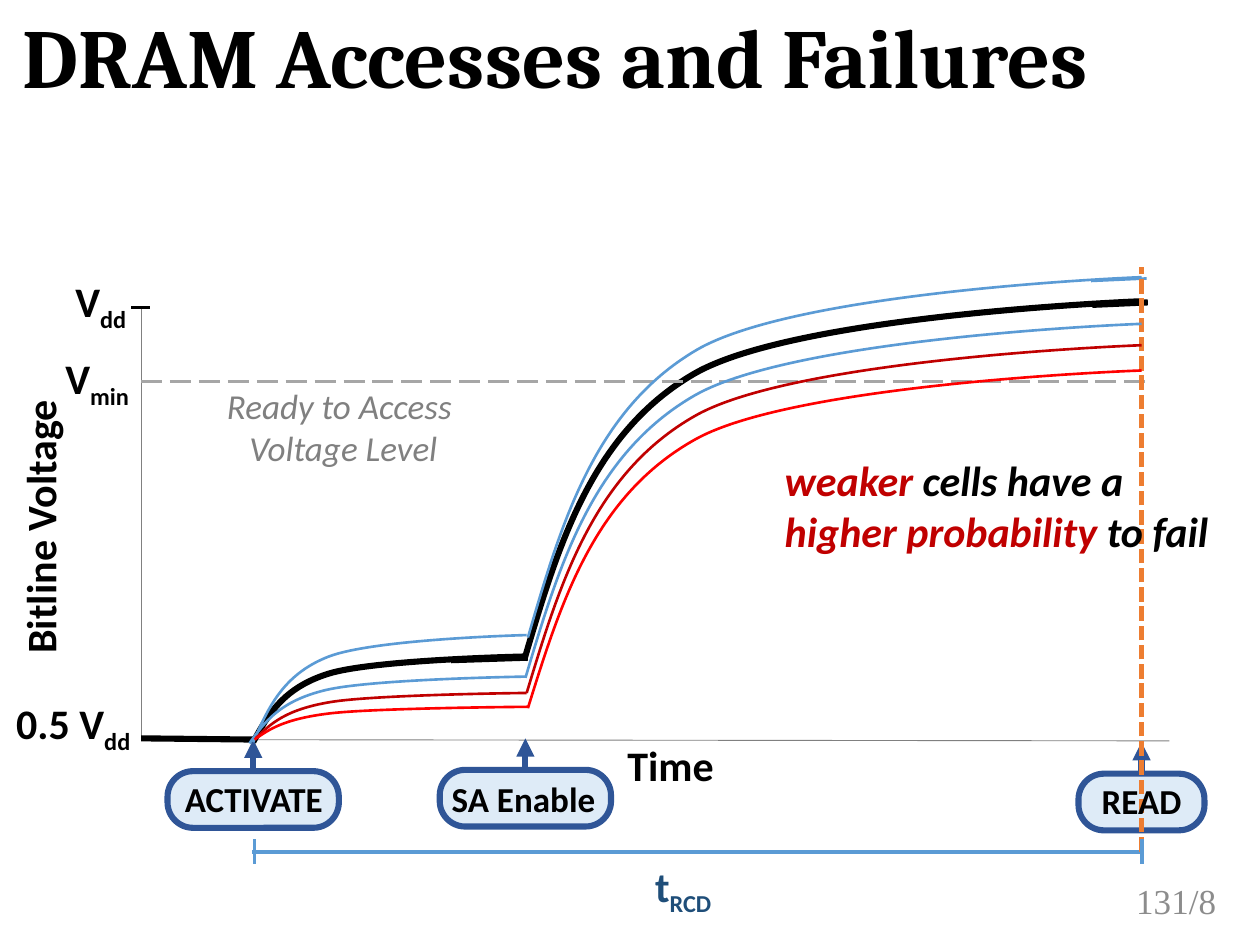
from dataclasses import dataclass
from typing import Optional

from lxml.etree import SubElement
from pptx import Presentation
from pptx.dml.color import RGBColor
from pptx.enum.dml import MSO_LINE
from pptx.enum.shapes import MSO_CONNECTOR, MSO_SHAPE
from pptx.enum.text import MSO_ANCHOR, MSO_AUTO_SIZE, PP_ALIGN
from pptx.oxml.ns import qn
from pptx.util import Inches, Pt

BLACK = RGBColor(0x00, 0x00, 0x00)
GRAY = RGBColor(0x80, 0x80, 0x80)
LIGHT_GRAY = RGBColor(0xA6, 0xA6, 0xA6)
PAGE_GRAY = RGBColor(0x8C, 0x8C, 0x8C)
BLUE = RGBColor(0x5B, 0x9B, 0xD5)
DARK_BLUE = RGBColor(0x2F, 0x55, 0x97)
NAVY = RGBColor(0x1F, 0x4E, 0x79)
PALE_BLUE = RGBColor(0xDE, 0xEB, 0xF7)
ORANGE = RGBColor(0xED, 0x7D, 0x31)
DARK_RED = RGBColor(0xC0, 0x00, 0x00)
RED = RGBColor(0xFF, 0x00, 0x00)

Point = tuple[float, float]
Box = tuple[float, float, float, float]

CHARGE_PERCENTS = (
    ((5.4, 31.5), (10.8, 63), (27.4, 79.7)),
    ((44, 96.4), (100, 100), (100, 100)),
)
AXIS_LEFT, AXIS_BOTTOM, READ_TIME = 1.12, 5.87, 9.06


@dataclass(frozen=True)
class Run:
    text: str
    color: Optional[RGBColor] = None
    subscript: bool = False


@dataclass(frozen=True)
class Curve:
    color: RGBColor
    width: float
    rise: tuple[Point, Point]
    swing: tuple[Point, Point]


@dataclass(frozen=True)
class Command:
    label: str
    pill: Box
    label_box: Box


CURVES = (
    Curve(BLACK, 3.5, ((2.01, 5.89), (4.18, 5.21)), ((4.16, 5.24), (9.07, 2.39))),
    Curve(BLUE, 1.5, ((2.01, 5.89), (4.18, 5.04)), ((4.19, 5.06), (9.06, 2.2))),
    Curve(BLUE, 1.5, ((1.98, 5.9), (4.18, 5.37)), ((4.17, 5.38), (9.06, 2.57))),
    Curve(DARK_RED, 1.5, ((2.03, 5.86), (4.18, 5.5)), ((4.18, 5.5), (9.06, 2.74))),
    Curve(RED, 1.5, ((2.02, 5.87), (4.2, 5.61)), ((4.19, 5.62), (9.06, 2.94))),
)
COMMANDS = (
    Command("ACTIVATE", (1.33, 6.12, 1.36, 0.45), (1.36, 6.12, 1.31, 0.44)),
    Command("SA Enable", (3.49, 6.11, 1.36, 0.45), (3.48, 6.12, 1.35, 0.44)),
    Command("READ", (8.56, 6.14, 1, 0.45), (8.64, 6.14, 0.84, 0.44)),
)
AXIS_LABELS = (
    ((0.5, 2.14, 0.63, 0.5), "V", "dd", BLACK),
    ((0.42, 2.75, 0.75, 0.5), "V", "min", BLACK),
    ((0.03, 5.49, 1.13, 0.5), "0.5 V", "dd", BLACK),
    ((5.1, 6.78, 0.71, 0.5), "t", "RCD", NAVY),
)


def write(text_frame, lines: list[list[Run]], *, size: float = 24, font: str = "Calibri",
          color: RGBColor = BLACK, bold: bool = True, italic: bool = False,
          align=PP_ALIGN.LEFT, anchor=MSO_ANCHOR.TOP, wrap: bool = False,
          line_spacing: Optional[float] = None, grow: bool = True) -> None:
    text_frame.word_wrap = wrap
    text_frame.auto_size = MSO_AUTO_SIZE.SHAPE_TO_FIT_TEXT if grow else MSO_AUTO_SIZE.NONE
    text_frame.vertical_anchor = anchor
    for index, line in enumerate(lines):
        paragraph = text_frame.add_paragraph() if index else text_frame.paragraphs[0]
        paragraph.alignment = align
        paragraph.line_spacing = line_spacing
        for part in line:
            run = paragraph.add_run()
            run.text = part.text
            run.font.name, run.font.size = font, Pt(size)
            run.font.bold, run.font.italic = bold, italic
            run.font.color.rgb = part.color or color
            if part.subscript:
                run._r.get_or_add_rPr().set("baseline", "-25000")


def add_text(slide, box: Box, lines: list[list[Run]], rotation: float = 0, **style) -> None:
    text_box = slide.shapes.add_textbox(*map(Inches, box))
    text_box.rotation = rotation
    write(text_box.text_frame, lines, **style)


def add_line(slide, start: Point, end: Point, color: RGBColor, width: float,
             dash=None, arrow: bool = False) -> None:
    connector = slide.shapes.add_connector(
        MSO_CONNECTOR.STRAIGHT, *map(Inches, (*start, *end)))
    connector.line.color.rgb = color
    connector.line.width = Pt(width)
    if dash is not None:
        connector.line.dash_style = dash
    if arrow:
        SubElement(connector.line._get_or_add_ln(), qn("a:tailEnd"), type="triangle")
    SubElement(connector._element.spPr, qn("a:effectLst"))


def add_charge(slide, start: Point, end: Point, color: RGBColor, width: float) -> None:
    segments = [
        [tuple(Inches(origin + (target - origin) * percent / 100)
               for origin, target, percent in zip(start, end, percents))
         for percents in segment]
        for segment in CHARGE_PERCENTS
    ]
    builder = slide.shapes.build_freeform(*map(Inches, start))
    builder.add_line_segments([segment[-1] for segment in segments], close=False)
    shape = builder.convert_to_shape()
    for straight, segment in zip(list(shape._element.iter(qn("a:lnTo"))), segments):
        straight.clear()
        straight.tag = qn("a:cubicBezTo")
        for x, y in segment:
            SubElement(straight, qn("a:pt"), x=str(x - shape.left), y=str(y - shape.top))
    shape.shadow.inherit = False
    shape.fill.background()
    shape.line.color.rgb = color
    shape.line.width = Pt(width)


def add_curve(slide, curve: Curve) -> None:
    for start, end in (curve.rise, curve.swing):
        add_charge(slide, start, end, curve.color, curve.width)


def add_pill(slide, box: Box) -> None:
    left, top, width, _ = box
    shape = slide.shapes.add_shape(MSO_SHAPE.ROUNDED_RECTANGLE, *map(Inches, box))
    shape.adjustments[0] = 0.45
    shape.shadow.inherit = False
    shape.fill.solid()
    shape.fill.fore_color.rgb = PALE_BLUE
    shape.line.color.rgb = DARK_BLUE
    shape.line.width = Pt(3.5)
    center = left + width / 2
    add_line(slide, (center, top), (center, top - 0.25), DARK_BLUE, 3.5, arrow=True)


def main() -> None:
    presentation = Presentation()
    presentation.slide_width, presentation.slide_height = Inches(10), Inches(7.5)
    slide = presentation.slides.add_slide(presentation.slide_layouts[5])

    title = slide.shapes.title
    title.left, title.top, title.width, title.height = map(Inches, (0.08, 0.08, 9.83, 0.81))
    write(title.text_frame, [[Run("DRAM Accesses and Failures")]], size=48, font="Cambria",
          anchor=MSO_ANCHOR.MIDDLE, wrap=True, line_spacing=0.9, grow=False)
    add_text(slide, (8.67, 6.95, 1.08, 0.4), [[Run("131/8")]], size=20,
             font="Times New Roman", color=PAGE_GRAY, bold=False, align=PP_ALIGN.RIGHT,
             anchor=MSO_ANCHOR.MIDDLE, wrap=True, grow=False)

    add_line(slide, (AXIS_LEFT, 2.44), (AXIS_LEFT, 5.88), GRAY, 0.5)
    add_line(slide, (9.28, 5.88), (AXIS_LEFT, AXIS_BOTTOM), GRAY, 0.5)
    add_line(slide, (1.19, 2.44), (1.04, 2.44), BLACK, 1.25)
    add_line(slide, (2.03, AXIS_BOTTOM), (AXIS_LEFT, 5.86), BLACK, 3.5)

    nominal, *variations = CURVES
    add_curve(slide, nominal)
    add_line(slide, (3.58, 5.24), (4.19, 5.22), BLACK, 3.5)
    add_line(slide, (8.67, 2.42), (9.11, 2.4), BLACK, 3.5)
    for command in COMMANDS:
        add_pill(slide, command.pill)
    add_line(slide, (AXIS_LEFT, 3.03), (9.11, 3.03), LIGHT_GRAY, 1.5, dash=MSO_LINE.LONG_DASH)
    add_line(slide, (8.66, 2.23), (9.1, 2.21), BLUE, 1.5)

    add_line(slide, (2, 6.76), (READ_TIME, 6.76), BLUE, 2.25)
    add_line(slide, (READ_TIME, 6.76), (READ_TIME, 2.12), ORANGE, 2.75,
             dash=MSO_LINE.SQUARE_DOT)
    for x in (2.02, READ_TIME):
        add_line(slide, (x, 6.66), (x, 6.86), BLUE, 2.25)
    for curve in variations:
        add_curve(slide, curve)

    for command in COMMANDS:
        add_text(slide, command.label_box, [[Run(command.label)]], size=20,
                 align=PP_ALIGN.CENTER)
    for box, symbol, subscript, color in AXIS_LABELS:
        add_text(slide, box, [[Run(symbol), Run(subscript, subscript=True)]], color=color)
    add_text(slide, (-0.84, 3.88, 2.31, 0.5), [[Run("Bitline Voltage")]], rotation=270)
    add_text(slide, (4.88, 5.82, 0.89, 0.5), [[Run("Time")]])
    add_text(slide, (1.69, 3, 2.07, 0.77), [[Run("Ready to Access ")], [Run("Voltage Level")]],
             size=20, color=GRAY, bold=False, italic=True, align=PP_ALIGN.CENTER)
    add_text(slide, (6.13, 3.56, 3.7, 0.91),
             [[Run("weaker ", DARK_RED), Run("cells have a "),
               Run("higher probability", DARK_RED), Run(" to fail")]],
             italic=True, wrap=True)

    presentation.save("out.pptx")


if __name__ == "__main__":
    main()
